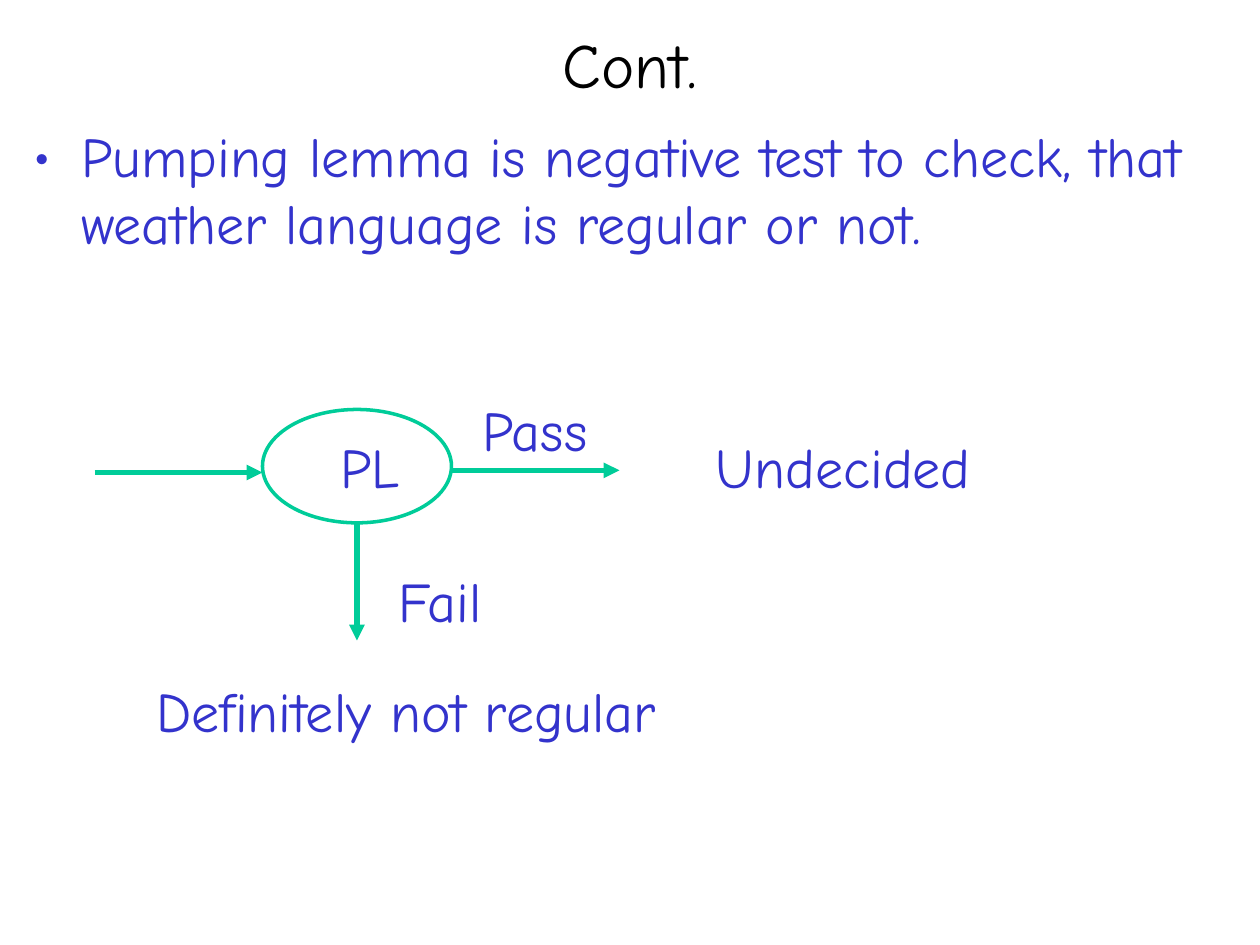
import lxml.etree
import pptx
import pptx.dml.color
import pptx.enum.shapes
import pptx.enum.text
import pptx.oxml
import pptx.oxml.ns
import pptx.util

BLACK = pptx.dml.color.RGBColor(0x00, 0x00, 0x00)
WHITE = pptx.dml.color.RGBColor(0xFF, 0xFF, 0xFF)
BLUE = pptx.dml.color.RGBColor(0x33, 0x33, 0xCC)
GREEN = pptx.dml.color.RGBColor(0x00, 0xCC, 0x99)
FONT = "Comic Neue"
ALIGN = pptx.enum.text.PP_ALIGN
ANCHOR = pptx.enum.text.MSO_ANCHOR

deck = pptx.Presentation()
deck.slide_width = pptx.util.Inches(10)
deck.slide_height = pptx.util.Inches(7.5)
page = deck.slides.add_slide(deck.slide_layouts[5])


def grid(*units):
    """Turn grid units (120 columns by 90 rows on the slide) into lengths."""
    return [round(unit * deck.slide_width / 120) for unit in units]


def write(shape, text, size=32, color=BLUE, align=ALIGN.LEFT, anchor=ANCHOR.TOP):
    frame = shape.text_frame
    frame.text = text
    frame.vertical_anchor = anchor
    para = frame.paragraphs[0]
    para.alignment = align
    font = para.runs[0].font
    font.name = FONT
    font.size = pptx.util.Pt(size)
    font.color.rgb = color
    return para


title = page.shapes.title
title.left, title.top, title.width, title.height = grid(2, 2, 116, 8)
write(title, "Cont.", 36, BLACK, ALIGN.CENTER, ANCHOR.MIDDLE)

# Statement
statement = page.shapes.add_textbox(*grid(2, 11, 116, 72))
statement.text_frame.word_wrap = True
para = write(statement, "Pumping lemma is negative test to check, that "
             "weather language is regular or not.")
properties = para._p.get_or_add_pPr()
indent = pptx.util.Inches(0.38)
properties.set("marL", str(indent))
properties.set("indent", str(-indent))
bullet_color = lxml.etree.SubElement(properties, pptx.oxml.ns.qn("a:buClr"))
lxml.etree.SubElement(bullet_color, pptx.oxml.ns.qn("a:srgbClr"), val=str(BLUE))
lxml.etree.SubElement(properties, pptx.oxml.ns.qn("a:buFont"), typeface=FONT)
lxml.etree.SubElement(properties, pptx.oxml.ns.qn("a:buChar"), char="•")

# Test node
node = page.shapes.add_shape(pptx.enum.shapes.MSO_SHAPE.OVAL, *grid(25, 39, 18, 10.8))
node.shadow.inherit = False
node.fill.solid()
node.fill.fore_color.rgb = WHITE
node.line.color.rgb = GREEN
node.line.width = pptx.util.Pt(2)
node.text_frame.margin_left = pptx.util.Inches(0.4)
node.text_frame.margin_right = 0
write(node, "PL")

# Arrows: input, pass, fail
for ends in [(9, 45, 25, 45), (43, 44.8, 59, 44.8), (34, 49.8, 34, 61)]:
    arrow = page.shapes.add_connector(
        pptx.enum.shapes.MSO_CONNECTOR.STRAIGHT, *grid(*ends))
    arrow.line.color.rgb = GREEN
    arrow.line.width = pptx.util.Pt(3)
    lxml.etree.SubElement(
        arrow.line._get_or_add_ln(), pptx.oxml.ns.qn("a:tailEnd"), type="triangle")
    lxml.etree.SubElement(arrow._element.spPr, pptx.oxml.ns.qn("a:effectLst"))

# Labels: text, left, top, width
for text, left, top, width in [
    ("Pass", 44.8, 37.1, 12.6),
    ("Fail", 36.8, 53.4, 10.6),
    ("Undecided", 67, 40.6, 27.2),
    ("Definitely not regular", 13.7, 63.8, 50.4),
]:
    label = page.shapes.add_textbox(*grid(left, top, width, 7.7))
    label.text_frame.word_wrap = False
    label.text_frame.auto_size = pptx.enum.text.MSO_AUTO_SIZE.SHAPE_TO_FIT_TEXT
    write(label, text)

deck.save("out.pptx")
